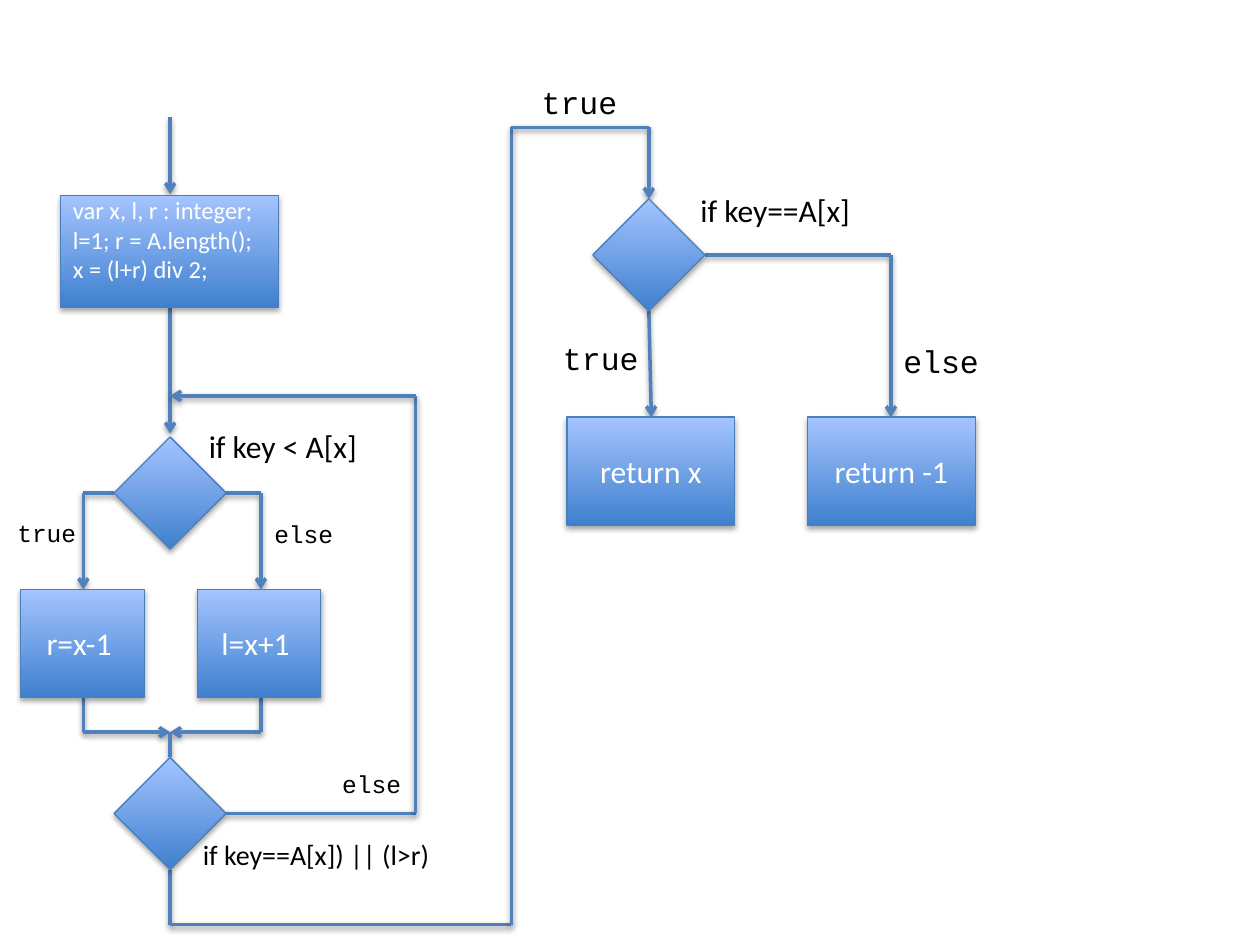
from itertools import pairwise

from lxml import etree
from pptx import Presentation
from pptx.dml.color import RGBColor
from pptx.enum.shapes import MSO_CONNECTOR, MSO_SHAPE
from pptx.enum.text import MSO_ANCHOR, MSO_AUTO_SIZE, PP_ALIGN
from pptx.oxml.ns import qn
from pptx.util import Cm, Pt

WHITE = RGBColor(0xFF, 0xFF, 0xFF)
BLACK = RGBColor(0x00, 0x00, 0x00)
FLOW_BLUE = RGBColor(0x4F, 0x81, 0xBD)
OUTLINE_BLUE = RGBColor(0x4B, 0x7E, 0xBC)
DEEP_BLUE = RGBColor(0x3F, 0x80, 0xCE)
PALE_BLUE = RGBColor(0xA4, 0xC4, 0xFF)

DIAMOND = 2.26
HALF = DIAMOND / 2
MAIN_X, LEFT_X, RIGHT_X = 3.43, 1.68, 5.26
LOOP_X, EXIT_X, KEY_X, MISS_X = 8.38, 10.31, 13.08, 17.96
COMPARE_Y, REPEAT_Y, KEY_Y = 9.94, 16.4, 5.14
LOOP_Y, MERGE_Y, EXIT_BOTTOM, EXIT_TOP = 7.98, 14.76, 18.64, 2.57
STEP_TOP, STEP_W, STEP_H = 11.88, 2.49, 2.18
RETURN_TOP, RETURN_W = 8.41, 3.38
STEP_BOTTOM = STEP_TOP + STEP_H


def set_values(target, values):
    """Set each named attribute of target."""
    for name, value in values.items():
        setattr(target, name, value)


def add_shadow(properties, distance, opacity):
    """Give the element's properties a soft shadow straight below."""
    effects = properties.find(qn("a:effectLst"))
    if effects is None:
        effects = etree.SubElement(properties, qn("a:effectLst"))
    shadow = etree.SubElement(effects, qn("a:outerShdw"), blurRad="40000",
                              dist=str(distance), dir="5400000", rotWithShape="0")
    color = etree.SubElement(shadow, qn("a:srgbClr"), val=str(BLACK))
    etree.SubElement(color, qn("a:alpha"), val=str(opacity * 1000))


def write_lines(frame, lines, font, color, align=PP_ALIGN.LEFT):
    """Write one paragraph per line."""
    for index, line in enumerate(lines):
        paragraph = frame.paragraphs[0] if index == 0 else frame.add_paragraph()
        paragraph.alignment = align
        run = paragraph.add_run()
        run.text = line
        set_values(run.font, font)
        run.font.color.rgb = color


def add_node(slide, kind, left, top, width, height):
    """Add a gradient-filled flowchart node."""
    node = slide.shapes.add_shape(kind, Cm(left), Cm(top), Cm(width), Cm(height))
    node.fill.gradient()
    node.fill.gradient_angle = 90
    for stop, color in zip(node.fill.gradient_stops, (DEEP_BLUE, PALE_BLUE)):
        stop.color.rgb = color
    node.line.color.rgb = OUTLINE_BLUE
    node.line.width = Pt(0.75)
    node.shadow.inherit = False
    add_shadow(node.element.spPr, 23000, 35)
    return node


def add_decision(slide, center_x, center_y):
    """Add a decision diamond around its centre."""
    add_node(slide, MSO_SHAPE.DIAMOND, center_x - HALF, center_y - HALF, DIAMOND, DIAMOND)


def add_step(slide, text, left, top, width):
    """Add a process box with one centred line."""
    step = add_node(slide, MSO_SHAPE.RECTANGLE, left, top, width, STEP_H)
    set_values(step.text_frame, {"word_wrap": True, "vertical_anchor": MSO_ANCHOR.MIDDLE})
    write_lines(step.text_frame, [text], {"name": "Calibri", "size": Pt(18)},
                WHITE, PP_ALIGN.CENTER)


def add_setup(slide):
    """Add the box that declares the variables."""
    setup = add_node(slide, MSO_SHAPE.RECTANGLE, 1.22, 3.94, 4.39, 2.26)
    set_values(setup.text_frame, {"word_wrap": True, "margin_top": 0,
                                  "vertical_anchor": MSO_ANCHOR.TOP})
    write_lines(setup.text_frame,
                ["var x, l, r : integer;", "l=1; r = A.length();", "x = (l+r) div 2; "],
                {"name": "Calibri", "size": Pt(14)}, WHITE)


def add_label(slide, text, left, top, width, size, name, wrap=True):
    """Add a condition or branch label."""
    label = slide.shapes.add_textbox(Cm(left), Cm(top), Cm(width), Cm(size * 0.056))
    set_values(label.text_frame, {"word_wrap": wrap,
                                  "auto_size": MSO_AUTO_SIZE.SHAPE_TO_FIT_TEXT})
    write_lines(label.text_frame, [text], {"name": name, "size": Pt(size)}, BLACK)


def add_flow(slide, points, arrow=True):
    """Join the points with straight lines, with an arrowhead at the end."""
    for start, end in pairwise(points):
        link = slide.shapes.add_connector(MSO_CONNECTOR.STRAIGHT,
                                          *(Cm(value) for value in start + end))
        link.line.color.rgb = FLOW_BLUE
        link.line.width = Pt(2)
        add_shadow(link.element.spPr, 20000, 38)
    if arrow:
        etree.SubElement(link.element.spPr.find(qn("a:ln")), qn("a:tailEnd"), type="arrow")


def main():
    """Build the binary search flowchart."""
    deck = Presentation()
    set_values(deck, {"slide_width": Cm(25.4), "slide_height": Cm(19.05)})
    slide = deck.slides.add_slide(deck.slide_layouts[6])

    flows = [
        [(MAIN_X, 2.36), (MAIN_X, 3.91)],
        [(MAIN_X, 6.2), (MAIN_X, 8.74)],
        [(MAIN_X - HALF, COMPARE_Y), (LEFT_X, COMPARE_Y), (LEFT_X, STEP_TOP)],
        [(MAIN_X + HALF, COMPARE_Y), (RIGHT_X, COMPARE_Y), (RIGHT_X, STEP_TOP)],
        [(LEFT_X, STEP_BOTTOM), (LEFT_X, MERGE_Y), (MAIN_X, MERGE_Y)],
        [(RIGHT_X, STEP_BOTTOM), (RIGHT_X, MERGE_Y), (MAIN_X, MERGE_Y)],
        [(MAIN_X + HALF, REPEAT_Y), (LOOP_X, REPEAT_Y), (LOOP_X, LOOP_Y), (MAIN_X, LOOP_Y)],
        [(MAIN_X, REPEAT_Y + HALF), (MAIN_X, EXIT_BOTTOM), (EXIT_X, EXIT_BOTTOM),
         (EXIT_X, EXIT_TOP), (KEY_X, EXIT_TOP), (KEY_X, KEY_Y - HALF)],
        [(KEY_X, KEY_Y + HALF), (KEY_X + 0.05, RETURN_TOP)],
        [(KEY_X + HALF, KEY_Y), (MISS_X, KEY_Y), (MISS_X, RETURN_TOP)],
    ]
    for points in flows:
        add_flow(slide, points)
    add_flow(slide, [(MAIN_X, REPEAT_Y - HALF), (MAIN_X, MERGE_Y)], arrow=False)

    add_setup(slide)
    for center in ((MAIN_X, COMPARE_Y), (MAIN_X, REPEAT_Y), (KEY_X, KEY_Y)):
        add_decision(slide, *center)
    for step in (
        ("r=x-1 ", 0.42, STEP_TOP, STEP_W),
        ("l=x+1 ", 3.98, STEP_TOP, STEP_W),
        ("return x", 11.43, RETURN_TOP, RETURN_W),
        ("return -1", 16.28, RETURN_TOP, RETURN_W),
    ):
        add_step(slide, *step)

    for label in (
        ("if key < A[x] ", 3.96, 8.48, 3.56, 18, "Calibri", False),
        ("if key==A[x]", 13.87, 3.73, 3.58, 18, "Calibri", False),
        ("if key==A[x]) || (l>r)", 3.84, 16.76, 7.19, 16, "Calibri"),
        ("true", 0.1, 10.31, 1.88, 14, "Courier New"),
        ("else", 5.28, 10.34, 2.36, 14, "Courier New"),
        ("else", 6.65, 15.37, 2.36, 14, "Courier New"),
        ("true", 10.67, 1.55, 3.2, 18, "Courier New"),
        ("true", 11.1, 6.71, 3.2, 18, "Courier New"),
        ("else", 17.96, 6.78, 3.2, 18, "Courier New"),
    ):
        add_label(slide, *label)

    deck.save("out.pptx")


main()
